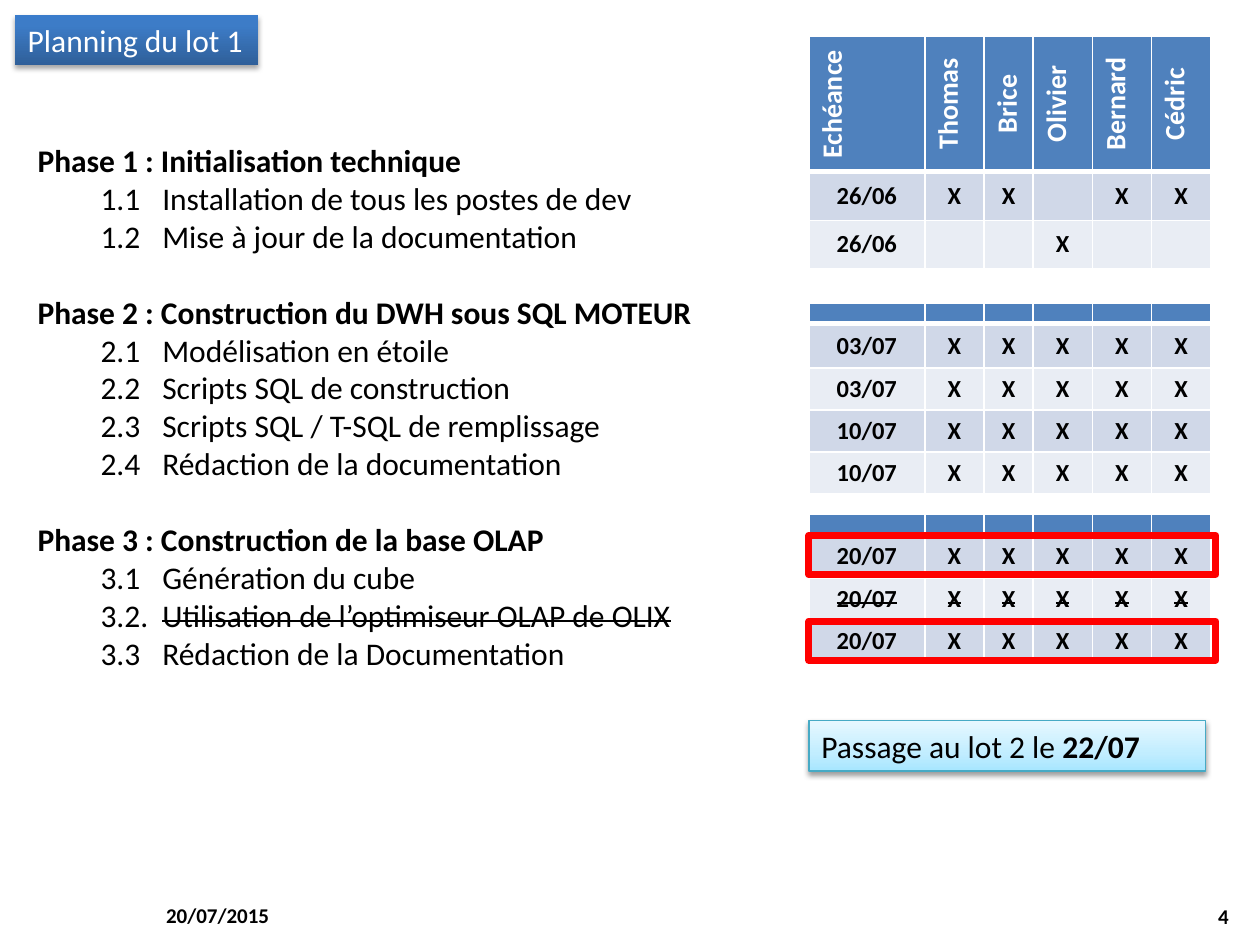
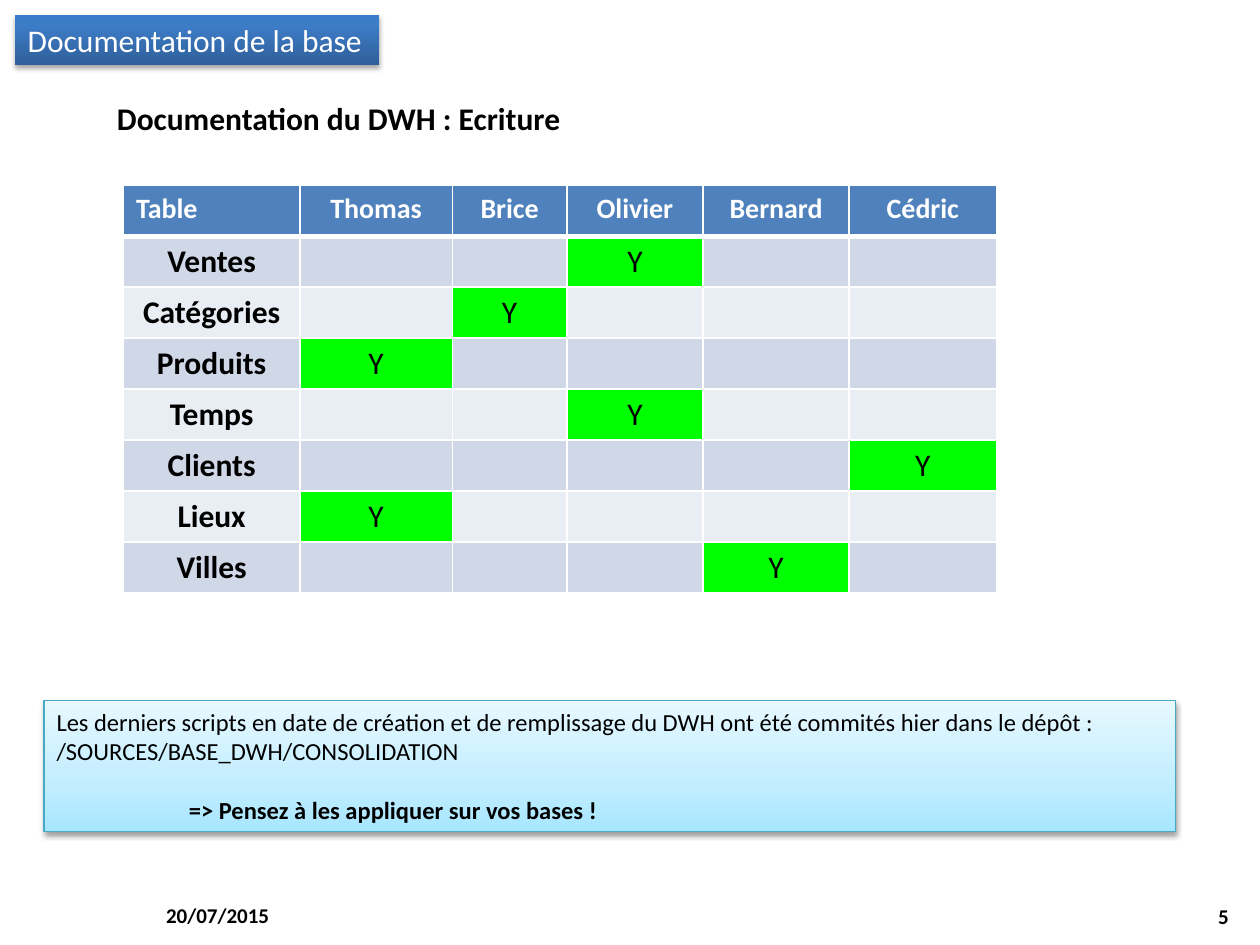
from collections import namedtuple
from dataclasses import dataclass

from lxml import etree
from pptx import Presentation
from pptx.dml.color import RGBColor
from pptx.enum.shapes import MSO_SHAPE
from pptx.enum.text import MSO_ANCHOR, PP_ALIGN
from pptx.oxml import parse_xml
from pptx.oxml.ns import nsdecls, qn
from pptx.util import Inches, Pt

RECTANGLE = MSO_SHAPE.RECTANGLE
TOP, MIDDLE = MSO_ANCHOR.TOP, MSO_ANCHOR.MIDDLE
LEFT, CENTER, RIGHT = PP_ALIGN.LEFT, PP_ALIGN.CENTER, PP_ALIGN.RIGHT
TITLE_ONLY = 5

# The slide is a grid of 100 columns by 75 rows of square units
SLIDE_WIDTH, SLIDE_HEIGHT = Inches(10), Inches(7.5)
UNIT = SLIDE_WIDTH // 100
Box = namedtuple("Box", "left top width height")


@dataclass(frozen=True)
class Theme:
    font: str = "Calibri"
    ink: str = "000000"
    paper: str = "FFFFFF"
    header: str = "4F81BD"
    bands: tuple = ("D0D8E8", "E9EDF4")
    writer: str = "00FF00"
    alert: str = "FF0000"
    note_line: str = "46AAC5"
    title_gradient: tuple = ((0, "2F5F99"), (80, "3D7CC7"), (100, "3A7CCB"))
    note_gradient: tuple = ((0, "A7E6FF"), (35, "C1EDFF"), (100, "E7F8FF"))
    body: int = 18
    heading: int = 16
    small: int = 14
    footer: int = 12
    tiny: int = 2


THEME = Theme()
TEAM = ["Thomas", "Brice", "Olivier", "Bernard", "Cédric"]
MEETING_DATE = "20/07/2015"

PHASES = [
    ("Phase 1 : Initialisation technique", [
        ("1.1", "Installation de tous les postes de dev"),
        ("1.2", "Mise à jour de la documentation")]),
    ("Phase 2 : Construction du DWH sous SQL MOTEUR", [
        ("2.1", "Modélisation en étoile"),
        ("2.2", "Scripts SQL de construction"),
        ("2.3", "Scripts SQL / T-SQL de remplissage"),
        ("2.4", "Rédaction de la documentation")]),
    ("Phase 3 : Construction de la base OLAP", [
        ("3.1", "Génération du cube"),
        ("3.2.", "Utilisation de l’optimiseur OLAP de OLIX"),
        ("3.3", "Rédaction de la Documentation")]),
]
DROPPED_TASK = "3.2."
WRITERS = {"Ventes": "Olivier", "Catégories": "Brice", "Produits": "Thomas",
           "Temps": "Olivier", "Clients": "Cédric", "Lieux": "Thomas",
           "Villes": "Bernard"}


def units(box):
    return [round(side * UNIT) for side in box]


def style(paragraph, size, color=THEME.ink, bold=False, align=LEFT):
    paragraph.alignment = align
    font = paragraph.font
    font.name, font.size, font.bold = THEME.font, Pt(size), bold
    font.color.rgb = RGBColor.from_string(color)


def indent(paragraph, left, first=0):
    properties = paragraph._p.get_or_add_pPr()
    properties.set("marL", str(Inches(left)))
    properties.set("indent", str(Inches(first)))


def strike(run):
    run._r.get_or_add_rPr().set("strike", "sngStrike")


def frame_text(shape, wrap=True, anchor=TOP):
    frame = shape.text_frame
    frame.word_wrap, frame.vertical_anchor = wrap, anchor
    frame.margin_left = frame.margin_right = Inches(0.1)
    frame.margin_top = frame.margin_bottom = Inches(0.05)
    return frame


def add_text(slide, box, text, size, align=LEFT, wrap=True, anchor=TOP):
    frame = frame_text(slide.shapes.add_textbox(*units(box)), wrap, anchor)
    frame.text = text
    style(frame.paragraphs[0], size, bold=True, align=align)


def add_gradient(shape, stops):
    marks = "".join(f'<a:gs pos="{share * 1000}"><a:srgbClr val="{color}"/></a:gs>'
                    for share, color in stops)
    shape._element.spPr.append(parse_xml(
        f'<a:gradFill {nsdecls("a")} rotWithShape="1"><a:gsLst>{marks}</a:gsLst>'
        '<a:lin ang="16200000" scaled="0"/></a:gradFill>'))


def add_shadow(shape, opacity):
    shape._element.spPr.append(parse_xml(
        f'<a:effectLst {nsdecls("a")}><a:outerShdw blurRad="{Pt(3.1)}" dist="{Pt(1.7)}" '
        'dir="5400000" rotWithShape="0"><a:srgbClr val="000000">'
        f'<a:alpha val="{opacity * 1000}"/></a:srgbClr></a:outerShdw></a:effectLst>'))


# Title band and footer shared by the slides
def start_slide(deck, heading, heading_width, number):
    slide = deck.slides.add_slide(deck.slide_layouts[TITLE_ONLY])
    title = slide.shapes.title
    title.left, title.top, title.width, title.height = units(
        Box(1.2, 1.2, heading_width, 4))
    add_gradient(title, THEME.title_gradient)
    add_shadow(title, 35)
    frame = frame_text(title, wrap=False)
    frame.text = heading
    style(frame.paragraphs[0], THEME.body, THEME.paper)
    add_text(slide, Box(12.2, 70.6, 23.3, 4), MEETING_DATE, THEME.footer, anchor=MIDDLE)
    add_text(slide, Box(75.2, 70.7, 23.3, 4), str(number), THEME.footer, RIGHT,
             anchor=MIDDLE)
    return slide


# Pale blue note
def add_note(slide, box):
    note = slide.shapes.add_shape(RECTANGLE, *units(box))
    note._element.spPr.remove(note._element.spPr.find(qn("a:solidFill"))) \
        if note._element.spPr.find(qn("a:solidFill")) is not None else None
    add_gradient(note, THEME.note_gradient)
    note.line.color.rgb = RGBColor.from_string(THEME.note_line)
    note.line.width = Pt(0.75)
    add_shadow(note, 38)
    return frame_text(note)


# Banded table
def border(cell, bottom):
    properties = cell._tc.get_or_add_tcPr()
    for side, width in zip("LRTB", (1, 1, 1, bottom)):
        line = etree.SubElement(properties, qn(f"a:ln{side}"), w=str(Pt(width)))
        fill = etree.SubElement(line, qn("a:solidFill"))
        etree.SubElement(fill, qn("a:srgbClr"), val=THEME.paper)


def fill_cell(cell, text, fill, size, color=THEME.ink, bold=True, align=CENTER,
              anchor=MIDDLE, bottom=1):
    border(cell, bottom)
    cell.fill.solid()
    cell.fill.fore_color.rgb = RGBColor.from_string(fill)
    cell.vertical_anchor = anchor
    paragraph = cell.text_frame.paragraphs[0]
    if text:
        paragraph.text = text
    else:
        etree.SubElement(paragraph._p, qn("a:endParaRPr"), sz=str(size * 100))
    style(paragraph, size, color, bold, align)


def add_table(slide, box, columns, rows, headings, records, size, anchor=MIDDLE):
    """Draw a header and banded records; columns and rows are in grid units."""
    table = slide.shapes.add_table(len(rows), len(columns), *units(box)).table
    for column, width in zip(table.columns, units(columns)):
        column.width = width
    for row, height in zip(table.rows, units(rows)):
        row.height = height
    for index, heading in enumerate(headings):
        fill_cell(table.cell(0, index), heading, THEME.header,
                  THEME.heading if heading else THEME.tiny, THEME.paper,
                  align=CENTER if index else LEFT, anchor=anchor, bottom=3)
    for number, record in enumerate(records):
        for index, text in enumerate(record):
            writes = text == "Y"
            fill_cell(table.cell(number + 1, index), text,
                      THEME.writer if writes else THEME.bands[number % 2],
                      size, bold=not writes, anchor=anchor)
    return table


# Phases and their numbered tasks
def add_phases(slide, box):
    frame = frame_text(slide.shapes.add_textbox(*units(box)))
    for position, (phase, tasks) in enumerate(PHASES):
        heading = frame.add_paragraph() if position else frame.paragraphs[0]
        heading.text = phase
        if position:
            heading.space_before = Pt(22)
        style(heading, THEME.body, bold=True)
        for number, task in tasks:
            line = frame.add_paragraph()
            indent(line, 0.99, -0.49)
            line.add_run().text = f"{number}\t"
            wording = line.add_run()
            wording.text = task
            if number == DROPPED_TASK:
                strike(wording)
            style(line, THEME.body)


# Deadlines of the three phases, one table each
def add_deadlines(slide, left, width):
    columns = [9.2, 4.7, 3.9, 4.7, 4.7, 4.7]
    blank = [""] * len(columns)
    everyone = ["X"] * len(TEAM)

    def phase_table(top, rows, headings, records):
        return add_table(slide, Box(left, top, width, sum(rows)), columns, rows,
                         headings, records, THEME.small)

    setup = phase_table(2.9, [10.7, 3.9, 3.8], ["Echéance", *TEAM],
                        [["26/06", "X", "X", "", "X", "X"],
                         ["26/06", "", "", "X", "", ""]])
    for index in range(len(columns)):
        setup.cell(0, index)._tc.get_or_add_tcPr().set("vert", "vert270")
    phase_table(24.1, [1.6, 3.5, 3.3, 3.3, 3.3], blank,
                [[day, *everyone] for day in ("03/07", "03/07", "10/07", "10/07")])
    cube = phase_table(40.8, [1.6, 3.5, 3.3, 3.3], blank, [["20/07", *everyone]] * 3)
    for index in range(len(columns)):
        strike(cube.cell(2, index).text_frame.paragraphs[0].runs[0])

    # Red frames round the remaining tasks
    for top in (49.3, 42.5):
        outline = slide.shapes.add_shape(RECTANGLE, *units(Box(left, top, width + 0.3, 3.1)))
        outline.shadow.inherit = False
        outline.fill.background()
        outline.line.color.rgb = RGBColor.from_string(THEME.alert)
        outline.line.width = Pt(4)


def planning_slide(deck):
    slide = start_slide(deck, "Planning du lot 1", 19.3, 4)
    add_phases(slide, Box(2, 10.7, 60, 43.4))
    add_deadlines(slide, 64.2, 32)
    passage = add_note(slide, Box(64.2, 57.2, 31.5, 4)).paragraphs[0]
    passage.add_run().text = "Passage au lot 2 le "
    day = passage.add_run()
    day.text, day.font.bold = "22/07", True
    style(passage, THEME.body)


def documentation_slide(deck):
    slide = start_slide(deck, "Documentation de la base", 28.9, 5)
    add_text(slide, Box(8.3, 7.4, 37.6, 4), "Documentation du DWH : Ecriture",
             THEME.body, wrap=False)
    records = [[name, *("Y" if member == writer else "" for member in TEAM)]
               for name, writer in WRITERS.items()]
    rows = [4.05] * (len(records) + 1)
    add_table(slide, Box(9.8, 14.7, 69.3, sum(rows)),
              [14, 12.1, 9.1, 10.8, 11.6, 11.7], rows, ["Table", *TEAM], records,
              THEME.body, TOP)

    # Reminder about the scripts
    reminder = add_note(slide, Box(3.5, 55.6, 89.8, 10.4))
    news, call = reminder.paragraphs[0], reminder.add_paragraph()
    news.text = ("Les derniers scripts en date de création et de remplissage du DWH ont été "
                 "commités hier dans le dépôt : /SOURCES/BASE_DWH/CONSOLIDATION")
    style(news, THEME.small)
    call.text = "=> Pensez à les appliquer sur vos bases !"
    call.space_before = Pt(17)
    indent(call, 1.05)
    style(call, THEME.small, bold=True)


def main():
    deck = Presentation()
    deck.slide_width, deck.slide_height = SLIDE_WIDTH, SLIDE_HEIGHT
    planning_slide(deck)
    documentation_slide(deck)
    deck.save("out.pptx")


if __name__ == "__main__":
    main()
